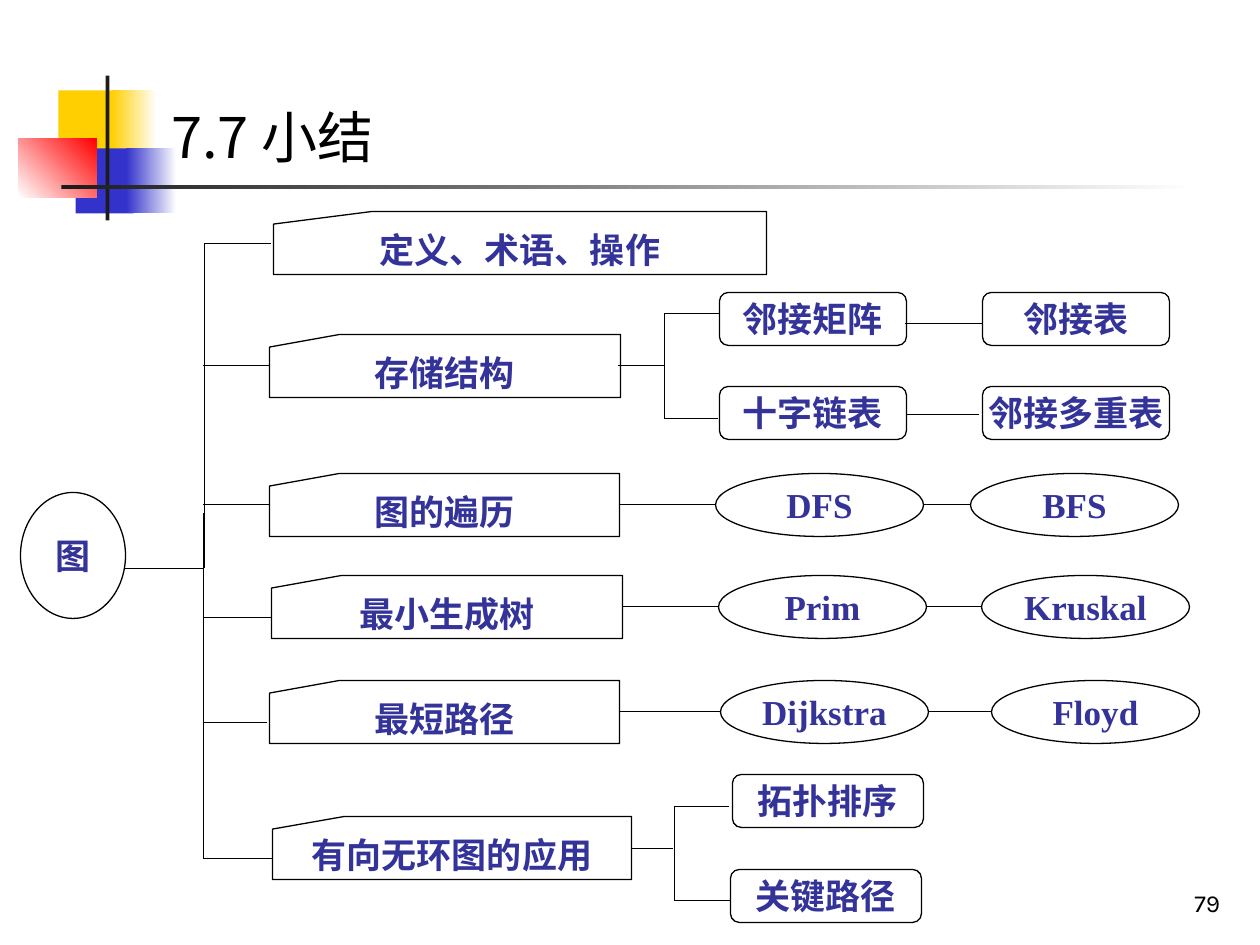
from typing import NamedTuple

import pptx
import pptx.dml.color
import pptx.enum.shapes
import pptx.enum.text
import pptx.oxml.ns
import pptx.util
from lxml import etree

PX = 914400 / 126
HALF = 0.5
COLORS = {"yellow": "FFCF01", "blue": "3333CC", "red": "FF0000", "white": "FFFFFF",
          "dark": "1C1C1C", "black": "000000", "label": "333399"}
SHAPE = pptx.enum.shapes.MSO_SHAPE
CARD, BOX, OVAL = SHAPE.FLOWCHART_CARD, SHAPE.FLOWCHART_ALTERNATE_PROCESS, SHAPE.OVAL
ALIGN = pptx.enum.text.PP_ALIGN
ANCHOR = pptx.enum.text.MSO_ANCHOR
CARD_H = OVAL_H = 63
OVAL_W = 208
BOX_H = 53
SPINE = 203


class Node(NamedTuple):
    kind: int
    text: str
    x: int
    y: int
    w: int
    h: int


class Line(NamedTuple):
    x1: int
    y1: int
    x2: int
    y2: int


class Bar(NamedTuple):
    x: int
    y: int
    w: int
    h: int
    start: str
    end: str = ""
    angle: int = 0


class Chain(NamedTuple):
    y: int
    card_x: int
    card_w: int
    topic: str
    oval_x: tuple[int, int]
    names: tuple[str, str]


BARS = [
    Bar(58, 90, 61, 65, "yellow"),
    Bar(111, 90, 45, 65, "yellow", "white"),
    Bar(75, 148, 58, 65, "blue"),
    Bar(126, 148, 50, 65, "blue", "white"),
    Bar(18, 138, 78, 59, "white", "red", 45),
    Bar(105, 75, 4, 145, "dark"),
    Bar(61, 185, 1134, 4, "dark", "white"),
]
CHAINS = [
    Chain(473, 269, 350, "图的遍历", (715, 970), ("DFS", "BFS")),
    Chain(575, 271, 351, "最小生成树", (718, 981), ("Prim", "Kruskal")),
    Chain(680, 269, 350, "最短路径", (720, 991), ("Dijkstra", "Floyd")),
]
NODES = [
    Node(OVAL, "图", 20, 492, 105, 126),
    Node(CARD, "定义、术语、操作", 273, 211, 493, CARD_H),
    Node(CARD, "存储结构", 269, 334, 351, CARD_H),
    Node(BOX, "邻接矩阵", 719, 292, 187, BOX_H),
    Node(BOX, "邻接表", 982, 292, 187, BOX_H),
    Node(BOX, "十字链表", 719, 386, 187, BOX_H),
    Node(BOX, "邻接多重表", 982, 386, 187, BOX_H),
    Node(CARD, "有向无环图的应用", 272, 816, 359, CARD_H),
    Node(BOX, "拓扑排序", 732, 774, 191, BOX_H),
    Node(BOX, "关键路径", 730, 869, 191, BOX_H),
]
LINES = [
    Line(124, 568, 204, 568),
    Line(204, 568, 204, 243),
    Line(204, 243, 271, 243),
    Line(SPINE, 365, 269, 365),
    Line(SPINE, 504, 269, 504),
    Line(SPINE, 513, SPINE, 617),
    Line(SPINE, 617, 271, 617),
    Line(SPINE, 617, SPINE, 722),
    Line(SPINE, 722, 267, 722),
    Line(SPINE, 722, SPINE, 858),
    Line(SPINE, 858, 272, 858),
    Line(618, 365, 664, 365),
    Line(664, 313, 664, 418),
    Line(664, 313, 719, 313),
    Line(664, 418, 718, 418),
    Line(905, 323, 982, 323),
    Line(907, 414, 979, 414),
    Line(632, 848, 673, 848),
    Line(674, 806, 674, 900),
    Line(674, 806, 729, 806),
    Line(674, 900, 730, 900),
]


def rgb(name: str) -> pptx.dml.color.RGBColor:
    return pptx.dml.color.RGBColor.from_string(COLORS[name])


def px(value: float) -> pptx.util.Emu:
    return pptx.util.Emu(round(value * PX))


def frame(x: int, y: int, w: int, h: int) -> tuple:
    return px(x + HALF), px(y + HALF), px(w), px(h)


def add_text(tf, text: str, font: str, size: int, color: str, align, bold: bool = False) -> None:
    p = tf.paragraphs[0]
    p.alignment = align
    r = p.add_run()
    r.text = text
    r.font.name = font
    r.font.size = pptx.util.Pt(size)
    r.font.bold = bold
    r.font.color.rgb = rgb(color)


def add_bar(s, bar: Bar) -> None:
    sp = s.shapes.add_shape(SHAPE.RECTANGLE, *frame(bar.x, bar.y, bar.w, bar.h))
    sp.shadow.inherit = False
    sp.line.fill.background()
    if not bar.end:
        sp.fill.solid()
        sp.fill.fore_color.rgb = rgb(bar.start)
        return
    sp.fill.gradient()
    sp.fill.gradient_angle = bar.angle
    for stop, color, position in zip(sp.fill.gradient_stops, (bar.start, bar.end), (0, 1)):
        stop.color.rgb = rgb(color)
        stop.position = position


def add_line(s, line: Line) -> None:
    ends = [px(v + HALF) for v in line]
    cx = s.shapes.add_connector(pptx.enum.shapes.MSO_CONNECTOR.STRAIGHT, *ends)
    cx.line.color.rgb = rgb("black")
    cx.line.width = pptx.util.Pt(0.75)
    etree.SubElement(cx._element.spPr, pptx.oxml.ns.qn("a:effectLst"))


def add_node(s, node: Node) -> None:
    sp = s.shapes.add_shape(node.kind, *frame(node.x, node.y, node.w, node.h))
    sp.shadow.inherit = False
    sp.fill.background()
    sp.line.color.rgb = rgb("black")
    sp.line.width = pptx.util.Pt(0.75)
    tf = sp.text_frame
    tf.word_wrap = False
    tf.vertical_anchor = ANCHOR.MIDDLE
    add_text(tf, node.text, "Times New Roman", 20, "label", ALIGN.CENTER, True)


def add_chain(s, chain: Chain) -> None:
    mid = chain.y + CARD_H // 2
    first, second = chain.oval_x
    add_line(s, Line(chain.card_x + chain.card_w, mid, first, mid))
    add_line(s, Line(first + OVAL_W, mid, second, mid))
    add_node(s, Node(CARD, chain.topic, chain.card_x, chain.y, chain.card_w, CARD_H))
    for x, name in zip(chain.oval_x, chain.names):
        add_node(s, Node(OVAL, name, x, chain.y, OVAL_W, OVAL_H))


def main() -> None:
    prs = pptx.Presentation()
    prs.slide_width, prs.slide_height = px(1260), px(945)
    s = prs.slides.add_slide(prs.slide_layouts[5])
    for bar in BARS:
        add_bar(s, bar)

    title = s.shapes.title
    title.left, title.top, title.width, title.height = frame(158, 95, 1101, 81)
    tf = title.text_frame
    tf.auto_size = pptx.enum.text.MSO_AUTO_SIZE.NONE
    tf.vertical_anchor = ANCHOR.MIDDLE
    add_text(tf, "7.7 小结", "Noto Sans CJK JP", 32, "black", ALIGN.LEFT)

    for line in LINES:
        add_line(s, line)
    for chain in CHAINS:
        add_chain(s, chain)
    for node in NODES:
        add_node(s, node)

    tf = s.shapes.add_textbox(*frame(970, 860, 262, 63)).text_frame
    tf.word_wrap = True
    tf.vertical_anchor = ANCHOR.BOTTOM
    add_text(tf, "79", "Karla", 14, "black", ALIGN.RIGHT)
    prs.save("out.pptx")


if __name__ == "__main__":
    main()
